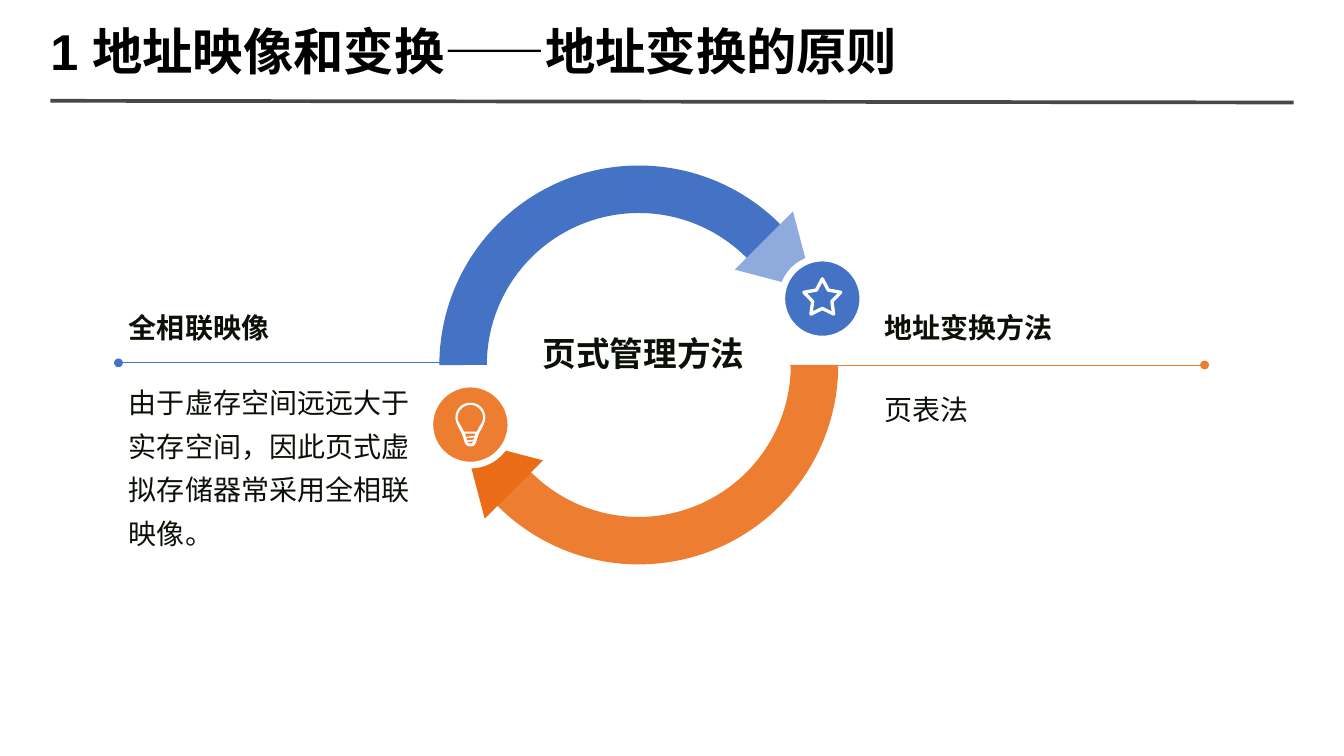
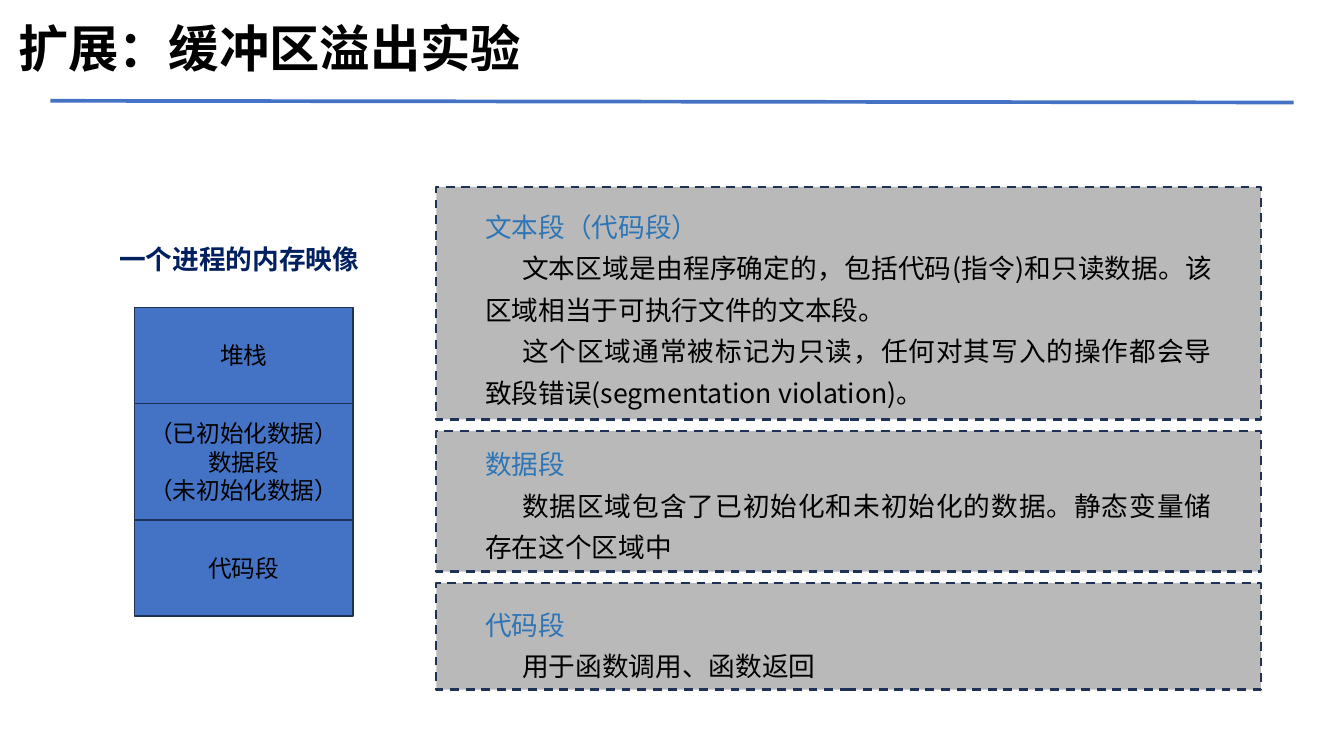
from dataclasses import dataclass

from lxml.etree import SubElement
from pptx import Presentation
from pptx.dml.color import RGBColor
from pptx.enum.dml import MSO_LINE
from pptx.enum.shapes import MSO_CONNECTOR, MSO_SHAPE as Shape
from pptx.enum.text import MSO_ANCHOR as Anchor, PP_ALIGN as Align
from pptx.oxml.ns import qn
from pptx.util import Cm, Pt


@dataclass(frozen=True)
class Theme:
    title_font: str = "Arial"
    body_font: str = "Noto Sans CJK SC"
    black: str = "000000"
    ink: str = "0B1107"
    white: str = "FFFFFF"
    rule: str = "484849"
    blue: str = "4472C4"
    light_blue: str = "8FAADC"
    orange: str = "ED7D31"
    dark_orange: str = "EB6C17"
    navy: str = "002060"
    border: str = "1E3256"
    panel: str = "B9B9B9"
    panel_heading: str = "2E75B6"
    title_size: float = 34
    ring_size: float = 22.7
    note_size: float = 18.9
    panel_size: float = 18
    stack_size: float = 16


THEME = Theme()


def rgb(value):
    return RGBColor.from_string(value)


def style_para(para, size, color, bold=False, font=THEME.body_font,
               align=Align.LEFT, spacing=1.0):
    para.alignment = align
    para.line_spacing = spacing
    for span in para.runs:
        span.font.size = Pt(size)
        span.font.bold = bold
        span.font.color.rgb = rgb(color)
        span.font.name = font
        SubElement(span._r.get_or_add_rPr(), qn("a:ea"), typeface=THEME.body_font)


def set_frame(frame, anchor=Anchor.TOP, insets=(0.25, 0.13, 0.25, 0.13)):
    """Set wrapping, anchor and the left, top, right, bottom insets in cm."""
    frame.word_wrap = True
    frame.vertical_anchor = anchor
    (frame.margin_left, frame.margin_top,
     frame.margin_right, frame.margin_bottom) = map(Cm, insets)


def add_text(page, left, top, width, height, text, size, color,
             anchor=Anchor.TOP, insets=(0.25, 0.13, 0.25, 0.13), **style):
    box = page.shapes.add_textbox(Cm(left), Cm(top), Cm(width), Cm(height))
    set_frame(box.text_frame, anchor, insets)
    box.text_frame.text = text
    style_para(box.text_frame.paragraphs[0], size, color, **style)


def paint(shape, fill=None, line=None, line_width=1.0):
    shape.shadow.inherit = False
    if fill:
        shape.fill.solid()
        shape.fill.fore_color.rgb = rgb(fill)
    else:
        shape.fill.background()
    if line:
        shape.line.color.rgb = rgb(line)
        shape.line.width = Pt(line_width)
    else:
        shape.line.fill.background()


def add_block(page, kind, left, top, width, height, fill=None, **outline):
    block = page.shapes.add_shape(kind, Cm(left), Cm(top), Cm(width), Cm(height))
    paint(block, fill, **outline)
    return block


def add_line(page, start, end, color, line_width, dot=False):
    line = page.shapes.add_connector(
        MSO_CONNECTOR.STRAIGHT, *map(Cm, start), *map(Cm, end))
    line.line.color.rgb = rgb(color)
    line.line.width = Pt(line_width)
    if dot:
        SubElement(line._element.spPr.get_or_add_ln(), qn("a:tailEnd"), type="oval")
    SubElement(line._element.spPr, qn("a:effectLst"))


def add_header(page, title, left, top, rule_color):
    add_line(page, (1.2, 2.4), (30.8, 2.44), rule_color, 2.5)
    add_text(page, left, top, 29.6, 1.6, title, THEME.title_size, THEME.black,
             anchor=Anchor.MIDDLE, insets=(0, 0, 0, 0), bold=True,
             font=THEME.title_font)


def add_half_cycle(page, center_x, center_y, side, color, head_color):
    """Draw half of the cycle; side is 1 for the upper arc, -1 for the lower."""
    diameter, head_width, head_height = 9.5, 1.96, 1.68
    arc = add_block(page, Shape.BLOCK_ARC, center_x - diameter / 2,
                    center_y - diameter / 2, diameter, diameter, color)
    # Angles are stored in 1/60000 degree, adjustments in 1/100000.
    for index, value in enumerate((360 * 0.6, 136.35 * 0.6, 0.119)):
        arc.adjustments[index] = value
    arc.rotation = 180 if side > 0 else 0
    head = add_block(page, Shape.ISOSCELES_TRIANGLE,
                     center_x + side * 3.57 - head_width / 2,
                     center_y - side * 2.37 - head_height / 2,
                     head_width, head_height, head_color)
    head.rotation = 135 if side > 0 else 315


def add_badge(page, center_x, center_y, color):
    size = 1.93
    add_block(page, Shape.OVAL, center_x - size / 2, center_y - size / 2,
              size, size, color, line=THEME.white, line_width=4.5)


def add_star(page, center_x, center_y):
    width, height = 0.88, 0.84
    star = add_block(page, Shape.STAR_5_POINT, center_x - width / 2,
                     center_y - height / 2, width, height,
                     line=THEME.white, line_width=2.25)
    star.adjustments[0] = 0.26
    SubElement(star._element.spPr.get_or_add_ln(), qn("a:round"))


def sample_curve(points, steps=8):
    """Return points along a chain of cubic curves."""
    result = [points[0]]
    for first in range(0, len(points) - 1, 3):
        a, b, c, d = points[first:first + 4]
        for step in range(1, steps + 1):
            t = step / steps
            weights = ((1 - t) ** 3, 3 * t * (1 - t) ** 2, 3 * t * t * (1 - t), t ** 3)
            result.append(tuple(sum(w * p[axis] for w, p in zip(weights, (a, b, c, d)))
                                for axis in (0, 1)))
    return result


def mirror(points):
    return points + [(-x, y) for x, y in reversed(points)]


def add_bulb(page, center_x, center_y):
    unit = Cm(0.0254)
    outer = mirror(sample_curve([
        (0, 0), (-8, 0), (-14, 6), (-14, 14), (-14, 19), (-10, 25), (-8, 29),
        (-5, 36), (-6, 41), (0, 41)]))
    glass = mirror(sample_curve([
        (0, 2), (-7, 2), (-12, 8), (-12, 14), (-12, 17), (-10, 20), (-8, 23),
        (-8, 24), (-7, 25), (-6, 27)]))
    bands = [
        [(-5, 29), (5, 29), (4, 31), (-4, 32)],
        [(-4, 33.4), (4, 32.4), (3, 34.6), (-3, 35.4)],
        [(-3, 37), (3, 36), (1.6, 37.8), (0, 38.2), (-1.6, 38)],
    ]
    contours = [[(round(x * unit), round(y * unit)) for x, y in contour]
                for contour in (outer, glass, *bands)]
    builder = page.shapes.build_freeform(*contours[0][0])
    builder.add_line_segments(contours[0][1:])
    for contour in contours[1:]:
        builder.move_to(*contour[0])
        builder.add_line_segments(contour[1:])
    bulb = builder.convert_to_shape(Cm(center_x), Cm(center_y) - round(20.5 * unit))
    paint(bulb, THEME.white)


def add_note(page, left, top, width, heading, body, spacing):
    add_text(page, left, top, width, 1.12, heading, THEME.note_size, THEME.ink,
             anchor=Anchor.MIDDLE, bold=True, spacing=1.3)
    add_text(page, left, top + 1.7, width, 4.55, body, THEME.note_size,
             THEME.ink, spacing=spacing)


def add_cycle(page, center_x, center_y):
    add_line(page, (center_x + 3.61, center_y), (center_x + 13.47, center_y),
             THEME.orange, 0.5, dot=True)
    add_line(page, (center_x - 3.65, center_y - 0.05),
             (center_x - 12.39, center_y - 0.05), THEME.blue, 0.5, dot=True)
    add_half_cycle(page, center_x, center_y, 1, THEME.blue, THEME.light_blue)
    add_half_cycle(page, center_x, center_y, -1, THEME.orange, THEME.dark_orange)
    star_x, star_y = center_x + 4.37, center_y - 1.58
    add_badge(page, star_x, star_y, THEME.blue)
    add_star(page, star_x, star_y - 0.05)
    bulb_x, bulb_y = center_x - 4.01, center_y + 1.42
    add_badge(page, bulb_x, bulb_y, THEME.orange)
    add_bulb(page, bulb_x, bulb_y)
    add_text(page, center_x - 2.54, center_y - 0.89, 7.6, 1.22, "页式管理方法",
             THEME.ring_size, THEME.ink, bold=True)


def build_mapping_page(page):
    add_header(page, "1 地址映像和变换——地址变换的原则", 1.2, 0.4, THEME.rule)
    add_cycle(page, 15.21, 8.69)
    add_note(page, 2.82, 7.11, 7.44, "全相联映像",
             "由于虚存空间远远大于实存空间，因此页式虚拟存储器常采用全相联映像。", 1.3)
    add_note(page, 20.8, 7.11, 9.88, "地址变换方法", "页表法", 1.5)


def add_memory_stack(page, left, top, width):
    segments = [
        (2.29, ["堆栈"]),
        (2.77, ["（已初始化数据）", "数据段", "（未初始化数据）"]),
        (2.29, ["代码段"]),
    ]
    add_text(page, left - 0.61, top - 2.06, 6.4, 1.27, "一个进程的内存映像",
             THEME.panel_size, THEME.navy, bold=True, align=Align.JUSTIFY, spacing=1.5)
    for height, lines in segments:
        segment = add_block(page, Shape.RECTANGLE, left, top, width, height,
                            THEME.blue, line=THEME.border)
        set_frame(segment.text_frame, Anchor.MIDDLE)
        segment.text_frame.text = "\n".join(lines)
        for para in segment.text_frame.paragraphs:
            style_para(para, THEME.stack_size, THEME.black, align=Align.CENTER)
        top += height


def add_panel(page, left, top, width, height, inset_top, lines):
    """Draw a dashed panel whose first line is its heading."""
    panel = add_block(page, Shape.RECTANGLE, left, top, width, height,
                      THEME.panel, line=THEME.border, line_width=1.5)
    panel.line.dash_style = MSO_LINE.DASH
    set_frame(panel.text_frame, insets=(1.16, inset_top, 1.16, 0))
    panel.text_frame.text = "\n".join(lines)
    heading, *body = panel.text_frame.paragraphs
    style_para(heading, THEME.panel_size, THEME.panel_heading,
               align=Align.JUSTIFY, spacing=1.5)
    for para in body:
        para._p.get_or_add_pPr().set("indent", str(int(Cm(0.88))))
        style_para(para, THEME.panel_size, THEME.black,
                   align=Align.JUSTIFY, spacing=1.3)


def add_panels(page, left, top, width, gap=0.27):
    panels = [
        (5.54, 0.18, ["文本段（代码段）",
                      "文本区域是由程序确定的，包括代码(指令)和只读数据。"
                      "该区域相当于可执行文件的文本段。",
                      "这个区域通常被标记为只读，任何对其写入的操作都会导致段错误"
                      "(segmentation violation)。"]),
        (3.35, 0.03, ["数据段",
                      "数据区域包含了已初始化和未初始化的数据。"
                      "静态变量储存在这个区域中"]),
        (2.54, 0.23, ["代码段", "用于函数调用、函数返回"]),
    ]
    for height, inset_top, lines in panels:
        add_panel(page, left, top, width, height, inset_top, lines)
        top += height + gap


def build_overflow_page(page):
    add_header(page, "扩展：缓冲区溢出实验", 0.43, 0.33, THEME.blue)
    add_memory_stack(page, 3.2, 7.32, 5.21)
    add_panels(page, 10.39, 4.45, 19.63)


def main():
    deck = Presentation()
    deck.slide_width, deck.slide_height = Cm(32), Cm(18)
    for build in (build_mapping_page, build_overflow_page):
        build(deck.slides.add_slide(deck.slide_layouts[6]))
    deck.save("out.pptx")


if __name__ == "__main__":
    main()
